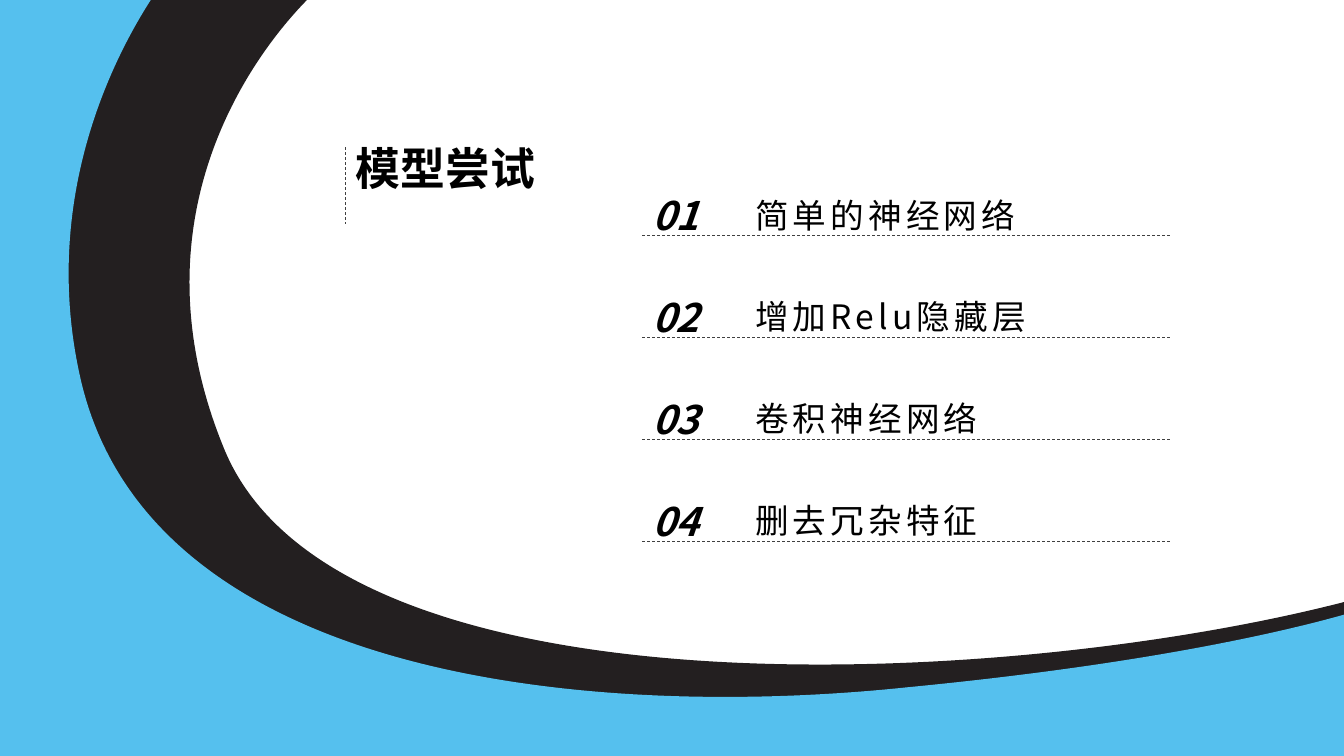
from pptx import Presentation
from pptx.dml.color import RGBColor
from pptx.enum.dml import MSO_LINE
from pptx.enum.shapes import MSO_CONNECTOR
from pptx.oxml.ns import qn
from pptx.util import Inches, Pt
from lxml.etree import SubElement

THEME = {
    "sky": RGBColor.from_string("55C0EE"),
    "ink": RGBColor.from_string("231F20"),
    "rule": RGBColor.from_string("404040"),
    "text": RGBColor.from_string("000000"),
    "title_font": "Arial", "font": "Noto Sans CJK SC",
    "title": 32, "number": 28, "label": 24, "line": 0.5,
}

# Each outline: colour, start point, then Bézier segments (control, control, end)
SWOOSHES = [
    ("ink", (3.16, -0.11), [
        ((3.16, -0.11), (1.07, 1.68), (2.23, 4.47)),
        ((3.48, 7.44), (11.37, 6.73), (14.2, 5.71)),
        ((13.05, 6.59), (13.05, 6.59), (13.05, 6.59)),
        ((13.05, 6.59), (4.3, 8.16), (1.5, 6.41)),
        ((-1.31, 4.68), (0.28, -0.13), (1.62, -0.6)),
        ((2.94, -1.08), (3.16, -0.11), (3.16, -0.11))]),
    ("sky", (1.74, -0.34), [
        ((1.74, -0.34), (0.26, 1.39), (0.8, 3.76)),
        ((1.49, 6.77), (5.93, 7.14), (8.99, 6.82)),
        ((12.41, 6.49), (13.77, 5.96), (13.77, 5.96)),
        ((13.55, 7.9), (13.55, 7.9), (13.55, 7.9)),
        ((-0.89, 7.74), (-0.89, 7.74), (-0.89, 7.74)),
        ((-0.87, -0.2), (-0.87, -0.2), (-0.87, -0.2))]),
]
TOPICS = ["简单的神经网络", "增加Relu隐藏层", "卷积神经网络", "删去冗杂特征"]
TITLE_X, NUMBER_X, LABEL_X, RULE_END = 3.43, 6.37, 7.39, 11.62
FIRST_RULE, ROW = 2.34, 1.01

prs = Presentation()
prs.slide_width, prs.slide_height = Inches(13.33), Inches(7.5)
s = prs.slides.add_slide(prs.slide_layouts[6])


def add_text(text, x, y, w, h, role, font, bold=False, italic=False, spacing=0):
    """Add a one-line text box; spacing is the letter spacing in points."""
    tf = s.shapes.add_textbox(*map(Inches, (x, y, w, h))).text_frame
    tf.word_wrap = True
    p = tf.paragraphs[0]
    p.text = text
    f = p.font
    f.name, f.size, f.bold, f.italic = font, Pt(THEME[role]), bold, italic
    f.color.rgb = THEME["text"]
    props = p._p.get_or_add_pPr().find(qn("a:defRPr"))
    SubElement(props, qn("a:ea")).set("typeface", THEME["font"])
    if spacing:
        props.set("spc", str(spacing * 100))


def add_rule(x1, y1, x2, y2):
    c = s.shapes.add_connector(MSO_CONNECTOR.STRAIGHT, *map(Inches, (x1, y1, x2, y2)))
    c.line.color.rgb = THEME["rule"]
    c.line.width = Pt(THEME["line"])
    c.line.dash_style = MSO_LINE.DASH
    SubElement(c._element.spPr, qn("a:effectLst"))


for colour, start, curves in SWOOSHES:
    builder = s.shapes.build_freeform(*map(Inches, start))
    builder.add_line_segments(
        [tuple(map(Inches, point)) for curve in curves for point in curve], close=True)
    sp = builder.convert_to_shape()
    # Join each three straight segments into one cubic curve
    lines = list(sp._element.iter(qn("a:lnTo")))
    for first, second, third in zip(lines[::3], lines[1::3], lines[2::3]):
        first.tag = qn("a:cubicBezTo")
        for line in (second, third):
            first.append(line[0])
            line.getparent().remove(line)
    sp.shadow.inherit = False
    sp.fill.solid()
    sp.fill.fore_color.rgb = THEME[colour]
    sp.line.fill.background()

add_text("模型尝试", TITLE_X, 1.35, 2.14, 0.64, "title", THEME["title_font"], bold=True)
add_rule(TITLE_X, 1.46, TITLE_X, 2.22)

for i, topic in enumerate(TOPICS):
    y = FIRST_RULE + i * ROW
    add_rule(NUMBER_X, y, RULE_END, y)
    add_text(f"{i + 1:02}", NUMBER_X, y - 0.49, 0.8, 0.57, "number", THEME["font"],
             bold=True, italic=True)
    add_text(topic, LABEL_X, y - 0.46, 3.64, 0.5, "label", THEME["font"], spacing=3)

prs.save("out.pptx")
